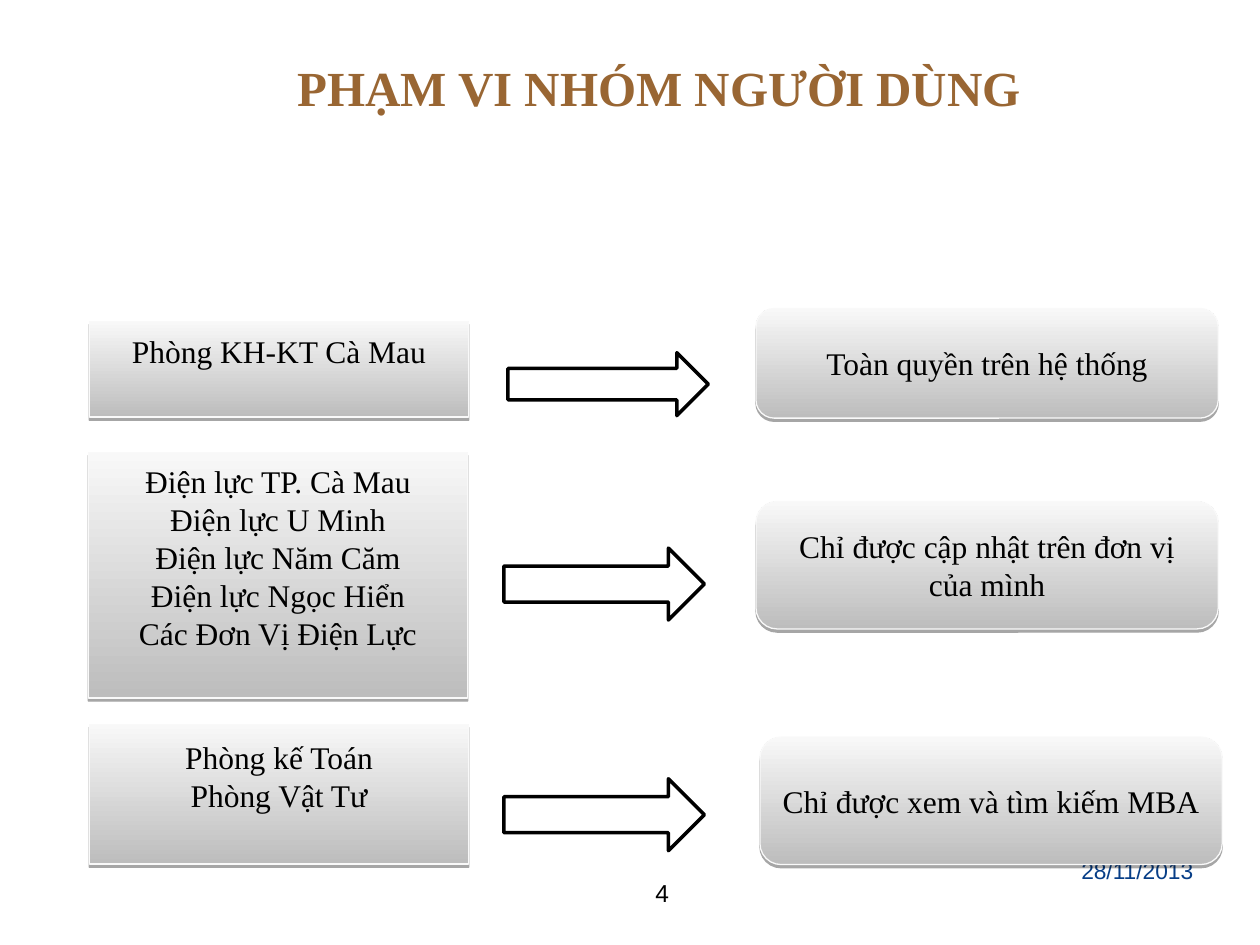
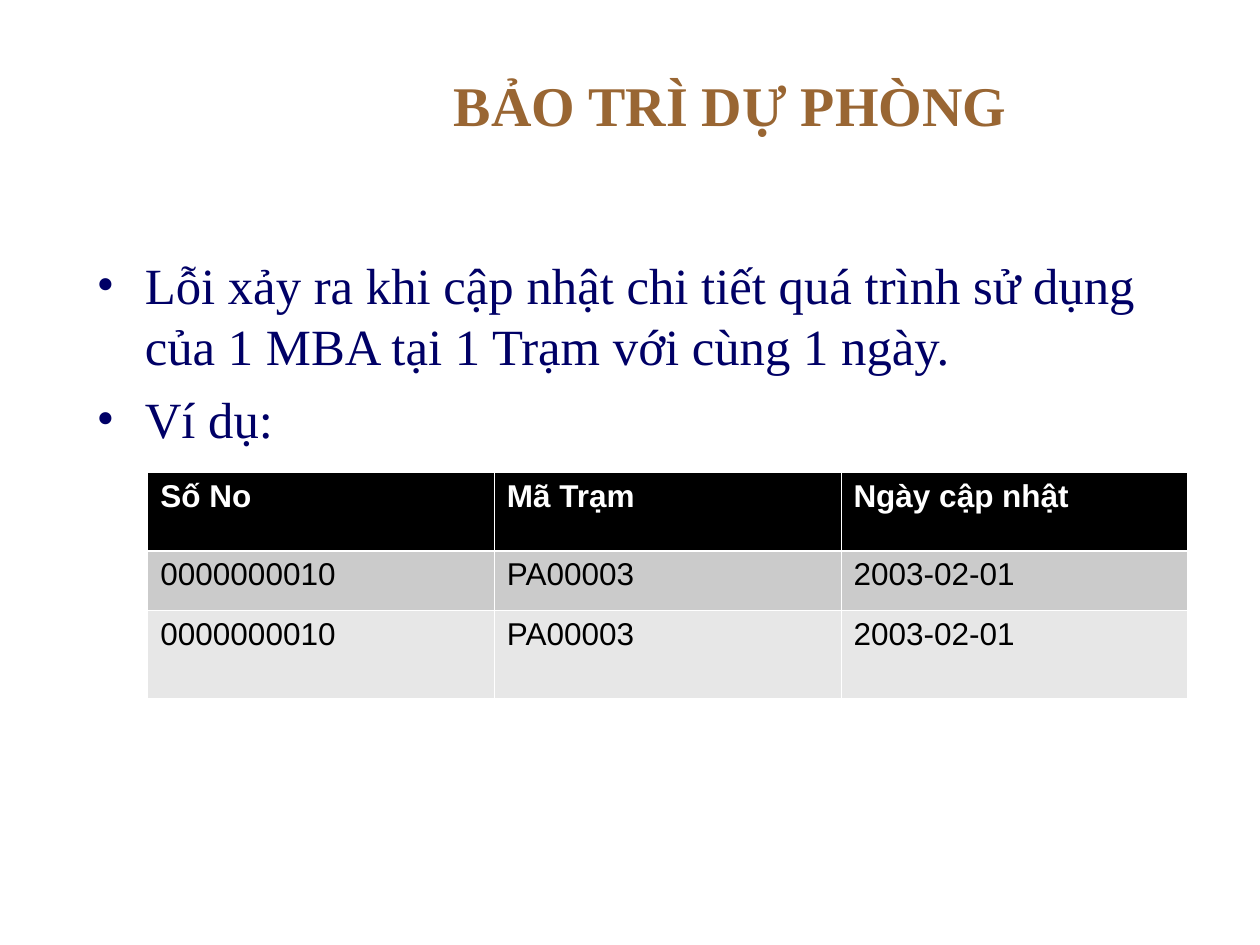
from dataclasses import dataclass
from lxml import etree
from pptx import Presentation
from pptx import util as u
from pptx.dml.color import RGBColor
from pptx.enum import shapes, text
from pptx.oxml import ns

Kind = shapes.MSO_SHAPE
Side = text.PP_ALIGN
Hold = text.MSO_ANCHOR


@dataclass(frozen=True)
class Theme:
    serif: str = "Times New Roman"
    sans: str = "Arial"
    black: str = "000000"
    white: str = "FFFFFF"
    brown: str = "996633"
    navy: str = "000066"
    blue: str = "073E87"
    edge: str = "F9F9F9"
    fade: tuple = ("BDBDBD", "F8F8F8")
    bands: tuple = ("000000", "CBCBCB", "E7E7E7")
    list: float = 29
    label: float = 18
    page: float = 14
    date: float = 13
    thin: float = 0.45
    thick: float = 1.47


T = Theme()


def put(obj, **vals):
    for key, val in vals.items():
        setattr(obj, key, val)


def rgb(code):
    return RGBColor.from_string(code)


def place(box):
    return [u.Cm(n) for n in box]


def node(dad, tag, **vals):
    return etree.SubElement(dad, ns.qn(tag), {k: str(v) for k, v in vals.items()})


def tint(dad, code):
    return node(dad, "a:srgbClr", val=code)


def write(frame, lines, size, color, name, align=Side.LEFT, bold=False):
    for i, line in enumerate(lines):
        para = frame.paragraphs[0] if i == 0 else frame.add_paragraph()
        para.alignment = align
        run = para.add_run()
        run.text = line
        put(run.font, size=u.Pt(size), name=name, bold=bold)
        run.font.color.rgb = rgb(color)


def head(slide, box, words, size, align):
    title = slide.shapes.title
    put(title, **dict(zip(("left", "top", "width", "height"), place(box))))
    put(title.text_frame, word_wrap=True, auto_size=text.MSO_AUTO_SIZE.NONE,
        vertical_anchor=Hold.MIDDLE)
    write(title.text_frame, [words], size, T.brown, T.serif, align, True)


def note(slide, box, words, size, color):
    frame = slide.shapes.add_textbox(*place(box)).text_frame
    frame.word_wrap = True
    write(frame, [words], size, color, T.sans, Side.CENTER)


def form(slide, kind, box, line, width):
    item = slide.shapes.add_shape(kind, *place(box))
    item.shadow.inherit = False
    item.line.color.rgb = rgb(line)
    item.line.width = u.Pt(width)
    return item


def card(slide, kind, box, lines, foot=0.13):
    item = form(slide, kind, box, T.edge, 0.75)
    item.fill.gradient()
    item.fill.gradient_angle = 90
    for stop, code in zip(item.fill.gradient_stops, T.fade):
        stop.color.rgb = rgb(code)
    glow = item.element.spPr.find(ns.qn("a:effectLst"))
    cast = node(glow, "a:outerShdw", blurRad=0, dist=u.Pt(1.8), dir=5400000, rotWithShape=0)
    node(tint(cast, T.black), "a:alpha", val=35000)
    put(item.text_frame, word_wrap=True, vertical_anchor=Hold.MIDDLE,
        margin_bottom=u.Cm(foot))
    write(item.text_frame, lines, T.label, T.black, T.serif, Side.CENTER)


def role(slide, box, groups, right, scope, arrow):
    x, y, w, h = box
    card(slide, Kind.RECTANGLE, box, groups, 0.86)
    dx, dy, tall = right
    card(slide, Kind.ROUNDED_RECTANGLE, (x + dx, y + dy, 9.32, tall), [scope])
    dx, dy, tall = arrow
    item = form(slide, Kind.RIGHT_ARROW, (x + dx, y + dy, 4.04, tall), T.black, 2)
    item.fill.solid()
    item.fill.fore_color.rgb = rgb(T.white)


def points(slide, box, lines):
    frame = slide.shapes.add_textbox(*place(box)).text_frame
    put(frame, word_wrap=True, margin_top=u.Cm(0.23))
    write(frame, lines, T.list, T.navy, T.serif)
    for i, para in enumerate(frame.paragraphs):
        props = para._p.get_or_add_pPr()
        put_in = u.Cm(0.97)
        props.set("marL", str(put_in))
        props.set("indent", str(-put_in))
        tint(node(props, "a:buClr"), T.navy)
        node(props, "a:buFont", typeface=T.serif)
        node(props, "a:buChar", char="•")
        if i:
            para.space_before = u.Pt(7.3)


def rule(cell, row):
    props = cell._tc.get_or_add_tcPr()
    for side in "LRTB":
        heavy = (row, side) in ((0, "B"), (1, "T"))
        line = node(props, f"a:ln{side}", w=u.Pt(T.thick if heavy else T.thin))
        tint(node(line, "a:solidFill"), T.white)


def grid(slide, box, rows, tall):
    table = slide.shapes.add_table(len(rows), len(rows[0]), *place(box)).table
    for r, (row, high) in enumerate(zip(rows, tall)):
        table.rows[r].height = u.Cm(high)
        for c, words in enumerate(row):
            cell = table.cell(r, c)
            rule(cell, r)
            cell.fill.solid()
            cell.fill.fore_color.rgb = rgb(T.bands[r])
            color = T.black if r else T.white
            write(cell.text_frame, [words], T.label, color, T.sans, bold=r == 0)


def users(slide):
    head(slide, (5.74, 0.25, 19.66, 3), "PHẠM VI NHÓM NGƯỜI DÙNG", 28, Side.LEFT)
    note(slide, (12.5, 17.58, 1.7, 1.55), "4", T.page, T.black)
    note(slide, (20.45, 17.15, 4.95, 1.02), "28/11/2013", T.date, T.blue)
    role(slide, (1.8, 6.48, 7.65, 1.93), ["Phòng KH-KT Cà Mau"],
         (13.44, -0.26, 2.21), "Toàn quyền trên hệ thống", (8.44, 0.63, 1.27))
    units = ["TP. Cà Mau", "U Minh", "Năm Căm", "Ngọc Hiển"]
    role(slide, (1.78, 9.12, 7.65, 4.95),
         [f"Điện lực {unit}" for unit in units] + ["Các Đơn Vị Điện Lực"],
         (13.46, 0.99, 2.57), "Chỉ được cập nhật trên đơn vị của mình", (8.38, 1.93, 1.45))
    role(slide, (1.8, 14.6, 7.65, 2.82), ["Phòng kế Toán", "Phòng Vật Tư"],
         (13.52, 0.26, 2.57), "Chỉ được xem và tìm kiếm MBA", (8.36, 1.1, 1.45))


def backup(slide):
    head(slide, (4.88, 0.79, 19.69, 2.62), "BẢO TRÌ DỰ PHÒNG", 32, Side.CENTER)
    points(slide, (1.7, 4.88, 22.86, 4.57), [
        "Lỗi xảy ra khi cập nhật chi tiết quá trình sử dụng của 1 MBA tại 1 Trạm "
        "với cùng 1 ngày.",
        "Ví dụ:"])
    entry = ("0000000010", "PA00003", "2003-02-01")
    grid(slide, (2.98, 9.53, 20.96, 4.55),
         [("Số No", "Mã Trạm", "Ngày cập nhật"), entry, entry], (1.58, 1.19, 1.78))


def main():
    deck = Presentation()
    put(deck, slide_width=u.Cm(25.4), slide_height=u.Cm(19.05))
    for build in (users, backup):
        build(deck.slides.add_slide(deck.slide_layouts[5]))
    deck.save("out.pptx")


if __name__ == "__main__":
    main()
